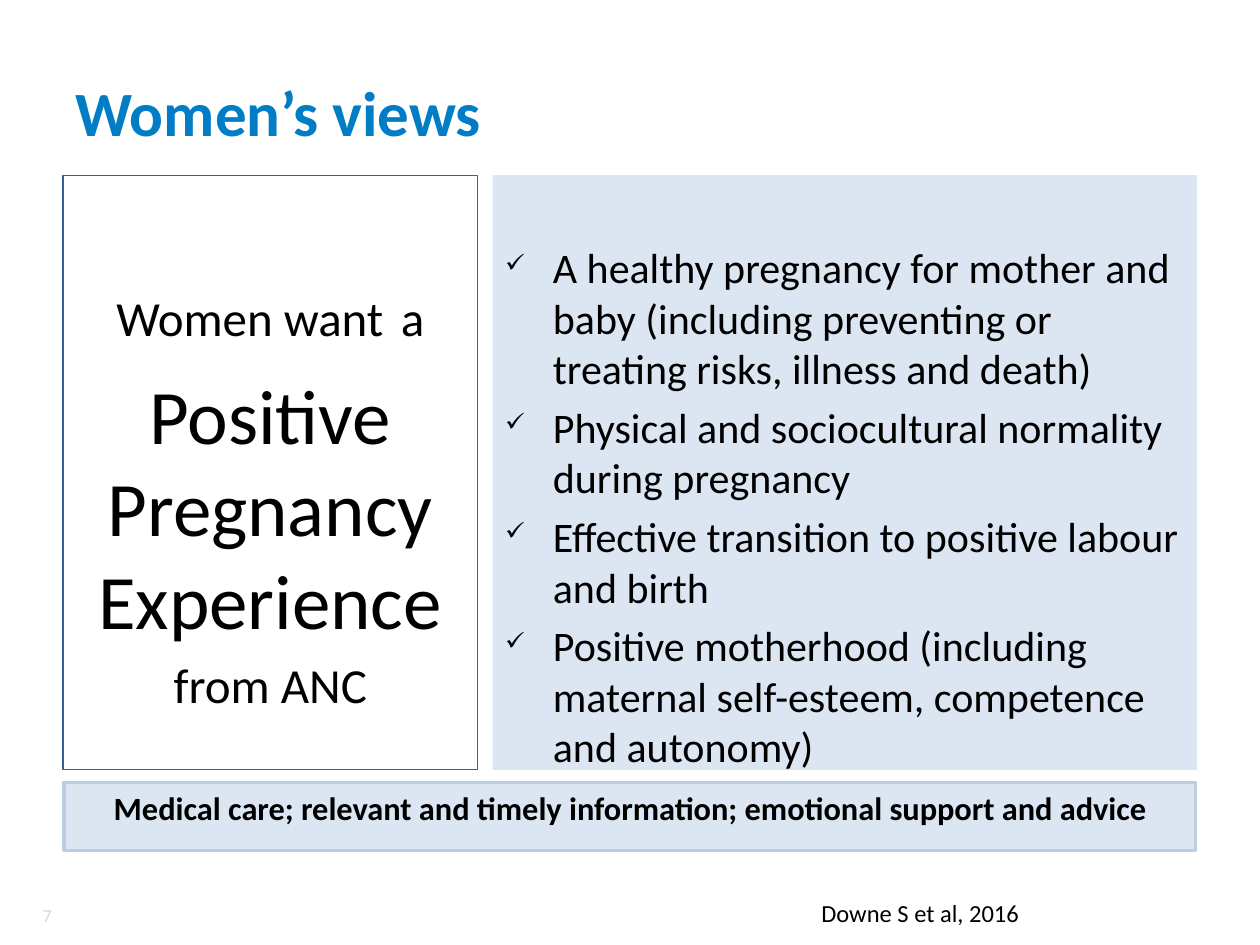
"""Build the slide on women's views of antenatal care."""
from pptx import Presentation
from pptx.dml.color import RGBColor
from pptx.enum.shapes import MSO_SHAPE
from pptx.enum.text import MSO_ANCHOR, PP_ALIGN
from pptx.oxml import parse_xml
from pptx.oxml.ns import nsdecls
from pptx.util import Inches, Pt

BLACK = RGBColor(0x00, 0x00, 0x00)
WHITE = RGBColor(0xFF, 0xFF, 0xFF)
TITLE_BLUE = RGBColor(0x00, 0x7D, 0xC5)
PALE_BLUE = RGBColor(0xDC, 0xE6, 0xF2)
EDGE_BLUE = RGBColor(0xB9, 0xCD, 0xE5)
DARK_BLUE = RGBColor(0x37, 0x60, 0x92)
PALE_GREY = RGBColor(0xD9, 0xD9, 0xD9)

PANEL_TOP, PANEL_HEIGHT = 1.39, 4.72

prs = Presentation()
prs.slide_width, prs.slide_height = Inches(10), Inches(7.5)
slide = prs.slides.add_slide(prs.slide_layouts[6])


def add_panel(left, top, width, height, fill, line, line_width):
    panel = slide.shapes.add_shape(
        MSO_SHAPE.RECTANGLE, Inches(left), Inches(top), Inches(width), Inches(height))
    panel.shadow.inherit = False
    if fill is None:
        panel.fill.background()
    else:
        panel.fill.solid()
        panel.fill.fore_color.rgb = fill
    if line is None:
        panel.line.fill.background()
    else:
        panel.line.color.rgb = line
        panel.line.width = Pt(line_width)
    panel.text_frame.word_wrap = True
    panel.text_frame.vertical_anchor = MSO_ANCHOR.TOP
    return panel.text_frame


def format_text(paragraph, size, color=BLACK, bold=False, align=PP_ALIGN.LEFT):
    paragraph.alignment = align
    for run in paragraph.runs:
        run.font.name = "Calibri"
        run.font.size = Pt(size)
        run.font.bold = bold
        run.font.color.rgb = color


wishes = add_panel(3.91, PANEL_TOP, 5.59, PANEL_HEIGHT, PALE_BLUE, None, 0)
wishes.margin_top = Inches(0.53)
wishes.text = "\n".join([
    "A healthy pregnancy for mother and baby (including preventing or treating risks, illness and death)",
    "Physical and sociocultural normality during pregnancy",
    "Effective transition to positive labour and birth",
    "Positive motherhood (including maternal self-esteem, competence and autonomy)",
])
for index, wish in enumerate(wishes.paragraphs):
    format_text(wish, 24)
    wish.space_before = Pt(4.8 if index else 0)
    properties = wish._p.get_or_add_pPr()
    properties.set("marL", str(Inches(0.38)))
    properties.set("indent", str(-Inches(0.38)))
    for bullet in ('<a:buClr {}><a:srgbClr val="000000"/></a:buClr>',
                   '<a:buSzPct {} val="60000"/>',
                   '<a:buChar {} char="✓"/>'):
        properties.append(parse_xml(bullet.format(nsdecls("a"))))

goal = add_panel(0.5, PANEL_TOP, 3.29, PANEL_HEIGHT, None, DARK_BLUE, 0.75)
goal.margin_top = Inches(0.67)
goal.text = "Women want\nPositive Pregnancy Experience\nfrom ANC"
opening = goal.paragraphs[0]
for piece in (" ", "a"):
    opening.add_run().text = piece
for paragraph, size, gap in zip(goal.paragraphs, (28, 44, 28), (0, 8.8, 5.6)):
    format_text(paragraph, size, align=PP_ALIGN.CENTER)
    paragraph.space_before = Pt(gap)
opening.runs[1].font.size = Pt(44)

care = add_panel(0.51, 6.21, 8.98, 0.54, PALE_BLUE, EDGE_BLUE, 2)
care.text = "Medical care; relevant and timely information; emotional support and advice"
format_text(care.paragraphs[0], 18.5, bold=True, align=PP_ALIGN.CENTER)

for text, box, size, color, bold, align, anchor, wrap in (
    ("Women’s views", (0.5, 0.3, 9, 0.93), 36, TITLE_BLUE, True,
     PP_ALIGN.LEFT, MSO_ANCHOR.BOTTOM, True),
    ("Downe S et al, 2016", (6.42, 7.08, 1.78, 0.34), 14, BLACK, False,
     PP_ALIGN.LEFT, MSO_ANCHOR.TOP, False),
    ("7", (0.12, 7.14, 0.39, 0.24), 10.5, PALE_GREY, False,
     PP_ALIGN.RIGHT, MSO_ANCHOR.MIDDLE, True),
):
    label = slide.shapes.add_textbox(*map(Inches, box)).text_frame
    label.text = text
    label.word_wrap = wrap
    label.vertical_anchor = anchor
    format_text(label.paragraphs[0], size, color, bold, align)

slide.background.fill.solid()
slide.background.fill.fore_color.rgb = WHITE

prs.save("out.pptx")
